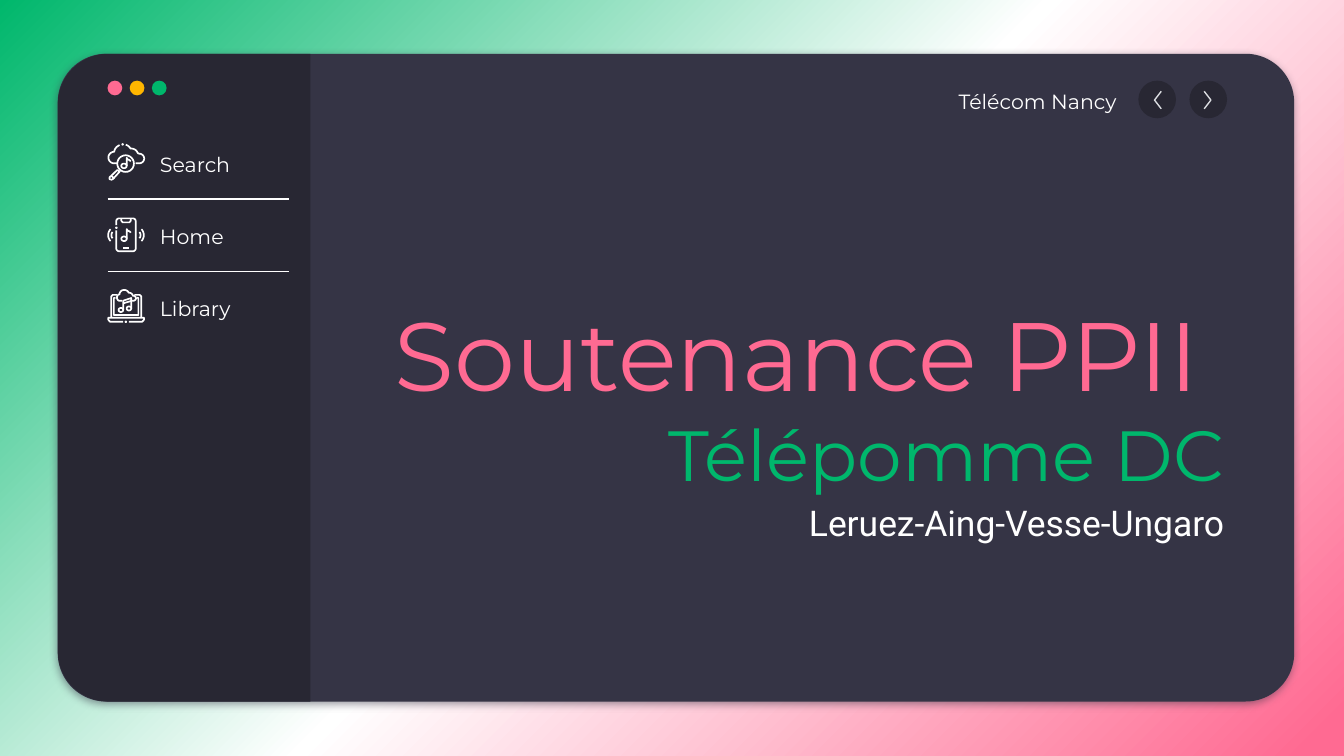
from math import cos, radians, sin

from lxml import etree
from pptx import Presentation
from pptx.dml.color import RGBColor
from pptx.enum.shapes import MSO_CONNECTOR, MSO_SHAPE as SHAPE
from pptx.enum.text import MSO_ANCHOR as ANCHOR, MSO_AUTO_SIZE, PP_ALIGN as ALIGN
from pptx.oxml import parse_xml
from pptx.oxml.ns import nsdecls, qn
from pptx.util import Inches, Pt

WHITE, PINK, GREEN, YELLOW = "FFFFFF", "FF6A92", "00B76C", "FFB600"
PANEL, DARK, GREY = "353445", "282733", "DCDEE2"
HEAD, BODY = "Montserrat", "Roboto"


def arc(cx, cy, rx, ry, start=0, end=360, steps=24):
    """Points along an ellipse, degrees clockwise from the right."""
    angles = [radians(start + (end - start) * i / steps) for i in range(steps + 1)]
    return [(cx + rx * cos(a), cy + ry * sin(a)) for a in angles]


def dot(x, y):
    return arc(x, y, 0.25, 0.25)


def note(x, y, height):
    top = y - height
    return [arc(x, y, 2, 1.7),
            [(x + 2, y), (x + 2, top), (x + 2.8, top + 1.2),
             (x + 4.2, top + 1.7), (x + 5, top + 2.7)]]


# Content
TITLE = [("Soutenance PPII ", 52, PINK), ("Télépomme DC", 38, GREEN)]
SUBTITLE = [("Leruez-Aing-Vesse-Ungaro", 19, WHITE)]
SCHOOL = "Télécom Nancy"
WINDOW_DOTS = [PINK, YELLOW, GREEN]
BACKGROUND = [(0, PINK), (2, PINK), (50, WHITE), (100, GREEN)]

# Icon strokes, in hundredths of an inch
SEARCH = [
    [(7, 14.6)] + arc(5, 10.3, 4.3, 4.3, 90, 270) + arc(12, 6.5, 7, 6, 185, 245),
    arc(11.5, 6, 6.2, 5.6, -70, -25) + arc(17.7, 8.8, 5.2, 5.2, -90, -20)
    + arc(23.5, 11, 3.8, 3.6, -90, 90) + [(21, 14.6)],
    arc(13.5, 14.8, 6.2, 6.2),
    [(7.3, 19.6), (1.6, 25), (1.6, 26.4), (3, 26.8), (4.2, 26.2), (9.2, 20.6), (7.3, 19.6)],
    [(3, 24), (5, 26)],
    dot(11.3, 0.5),
] + note(12.3, 16.5, 6)
PHONE = [
    [(6.5, 5.5)] + arc(8.7, 2.7, 2.2, 2.2, 180, 270) + arc(18.8, 2.7, 2.2, 2.2, -90, 0)
    + arc(18.8, 22.8, 2.2, 2.2, 0, 90) + arc(8.7, 22.8, 2.2, 2.2, 90, 180) + [(6.5, 9.5)],
    [(10.3, 0.5), (10.3, 2.3), (11.3, 3.5), (16.3, 3.5), (17.3, 2.3), (17.3, 0.5)],
    [(11.8, 22.5), (15.7, 22.5)],
    dot(6.6, 7.5),
    arc(6.5, 13, 3.6, 3.6, 140, 220), arc(7, 13, 6.5, 6.5, 137, 223),
    arc(21, 13, 3.6, 3.6, -40, 40), arc(20.5, 13, 6.5, 6.5, -43, 43),
] + note(12.3, 15.7, 7.2)
LAPTOP = [
    [(11, 8.9)] + arc(9, 6.5, 1.9, 2.4, 90, 270) + arc(12.5, 4, 3.5, 3.2, 190, 340)
    + arc(16.2, 5.5, 2.7, 2.6, -90, -10) + arc(19, 7, 2.2, 1.9, -90, 90) + [(18, 8.9)],
    [(7, 4.5), (3.9, 4.5), (2.8, 5.7), (2.8, 21)],
    [(20, 4.5), (24, 4.5), (25.2, 5.7), (25.2, 21)],
    [(6, 6.6), (4.8, 6.8), (4.8, 19.5), (23, 19.5), (23, 6.8), (22, 6.6)],
    [(11.6, 24.5), (2, 24.5), (0.6, 23), (0.6, 21.5), (27.2, 21.5), (27.2, 23),
     (25.8, 24.5), (16, 24.5)],
    dot(13.7, 24.5),
    arc(10, 15.7, 1.7, 1.5), arc(16, 14.6, 1.7, 1.5),
    [(11.7, 15.7), (11.7, 8.8), (17.7, 6.8), (17.7, 14.6)],
    [(11.7, 10.8), (17.7, 9)],
]
NAV = [("Search", SEARCH, 1.07, 1.13), ("Home", PHONE, 1.62, 1.67),
       ("Library", LAPTOP, 2.15, 2.2)]
ARROWS = [(8.47, 8.59, [(5, 0), (0, 6.5), (5, 13)]),
          (8.85, 8.96, [(0, 0), (5, 6.5), (0, 13)])]


def rgb(hex_color):
    return RGBColor.from_string(hex_color)


def add_fill_shape(s, kind, x, y, w, h, color):
    sp = s.shapes.add_shape(kind, Inches(x), Inches(y), Inches(w), Inches(h))
    sp.shadow.inherit = False
    sp.fill.solid()
    sp.fill.fore_color.rgb = rgb(color)
    sp.line.fill.background()
    return sp


def add_strokes(s, strokes, x, y, color, width):
    emu = [[(Inches(x + px / 100), Inches(y + py / 100)) for px, py in pts]
           for pts in strokes]
    builder = s.shapes.build_freeform(*emu[0][0])
    for i, pts in enumerate(emu):
        if i:
            builder.move_to(*pts[0])
        builder.add_line_segments(pts[1:], close=False)
    sp = builder.convert_to_shape()
    sp.shadow.inherit = False
    sp.fill.background()
    sp.line.color.rgb = rgb(color)
    sp.line.width = Pt(width)


def write(sp, box, lines, font, align, anchor=ANCHOR.TOP, side=0):
    sp.left, sp.top, sp.width, sp.height = map(Inches, box)
    tf = sp.text_frame
    tf.word_wrap = True
    tf.auto_size = MSO_AUTO_SIZE.NONE
    tf.vertical_anchor = anchor
    tf.margin_left = tf.margin_right = Inches(side)
    tf.margin_top = tf.margin_bottom = 0
    for i, (text, size, color) in enumerate(lines):
        p = tf.add_paragraph() if i else tf.paragraphs[0]
        p.alignment = align
        p.space_before = Pt(0)
        r = p.add_run()
        r.text = text
        r.font.name = font
        r.font.size = Pt(size)
        r.font.color.rgb = rgb(color)


def add_label(s, box, text, align=ALIGN.LEFT):
    write(s.shapes.add_textbox(0, 0, 0, 0), box, [(text, 11, WHITE)], HEAD, align)


# Widescreen 16:9 slide
prs = Presentation()
prs.slide_width = Inches(10)
prs.slide_height = prs.slide_width * 9 // 16
s = prs.slides.add_slide(prs.slide_layouts[0])

# Gradient background
s.background.fill.solid()
bg = s.element.find(".//" + qn("p:bgPr"))
stops = "".join(f'<a:gs pos="{pos * 1000}"><a:srgbClr val="{c}"/></a:gs>'
                for pos, c in BACKGROUND)
bg.replace(bg[0], parse_xml(
    f'<a:gradFill {nsdecls("a")}><a:gsLst>{stops}</a:gsLst>'
    f'<a:lin ang="{225 * 60000}" scaled="0"/></a:gradFill>'))

# Window panel with a soft shadow, and sidebar
panel = add_fill_shape(s, SHAPE.ROUNDED_RECTANGLE, 0.43, 0.4, 9.2, 4.82, PANEL)
panel.adjustments[0] = 0.075
effects = panel.element.spPr.find(qn("a:effectLst"))
shadow = etree.SubElement(effects, qn("a:outerShdw"), blurRad=str(Pt(4.5)),
                          dist=str(Pt(1.5)), dir=str(90 * 60000), rotWithShape="0")
shade = etree.SubElement(shadow, qn("a:srgbClr"), val=PANEL)
etree.SubElement(shade, qn("a:alpha"), val="50000")
sidebar = add_fill_shape(s, SHAPE.ROUND_2_SAME_RECTANGLE, -1.04, 1.87, 4.82, 1.88, DARK)
sidebar.adjustments[0] = 0.2
sidebar.adjustments[1] = 0
sidebar.rotation = 270

# Title and subtitle; both placeholders move in front of the panel
title, subtitle = s.shapes.title, s.placeholders[1]
for ph in (title, subtitle):
    s.shapes.element.append(ph.element)
write(title, (2.54, 1.17, 6.67, 2.52), TITLE, HEAD, ALIGN.RIGHT, ANCHOR.BOTTOM, 0.1)
write(subtitle, (2.54, 3.73, 6.67, 0.53), SUBTITLE, BODY, ALIGN.RIGHT, side=0.1)

# Window dots
for i, color in enumerate(WINDOW_DOTS):
    add_fill_shape(s, SHAPE.OVAL, 0.8 + i * 0.33 / 2, 0.6, 0.11, 0.11, color)

# Sidebar menu
for text, icon, icon_top, text_top in NAV:
    add_strokes(s, icon, 0.8, icon_top, WHITE, 0.9)
    add_label(s, (1.19, text_top, 0.94, 0.16), text)
for y in (1.48, 2.02):
    line = s.shapes.add_connector(MSO_CONNECTOR.STRAIGHT, Inches(0.8), Inches(y),
                                  Inches(2.15), Inches(y))
    line.line.color.rgb = rgb(WHITE)
    line.line.width = Pt(0.75)
    etree.SubElement(line.element.spPr, qn("a:effectLst"))

# Header: school and arrow buttons
for left, tip, chevron in ARROWS:
    add_fill_shape(s, SHAPE.OVAL, left, 0.6, 0.28, 0.28, DARK)
    add_strokes(s, [chevron], tip, 0.68, GREY, 0.75)
add_label(s, (6.55, 0.66, 1.76, 0.16), SCHOOL, ALIGN.RIGHT)

prs.save("out.pptx")
